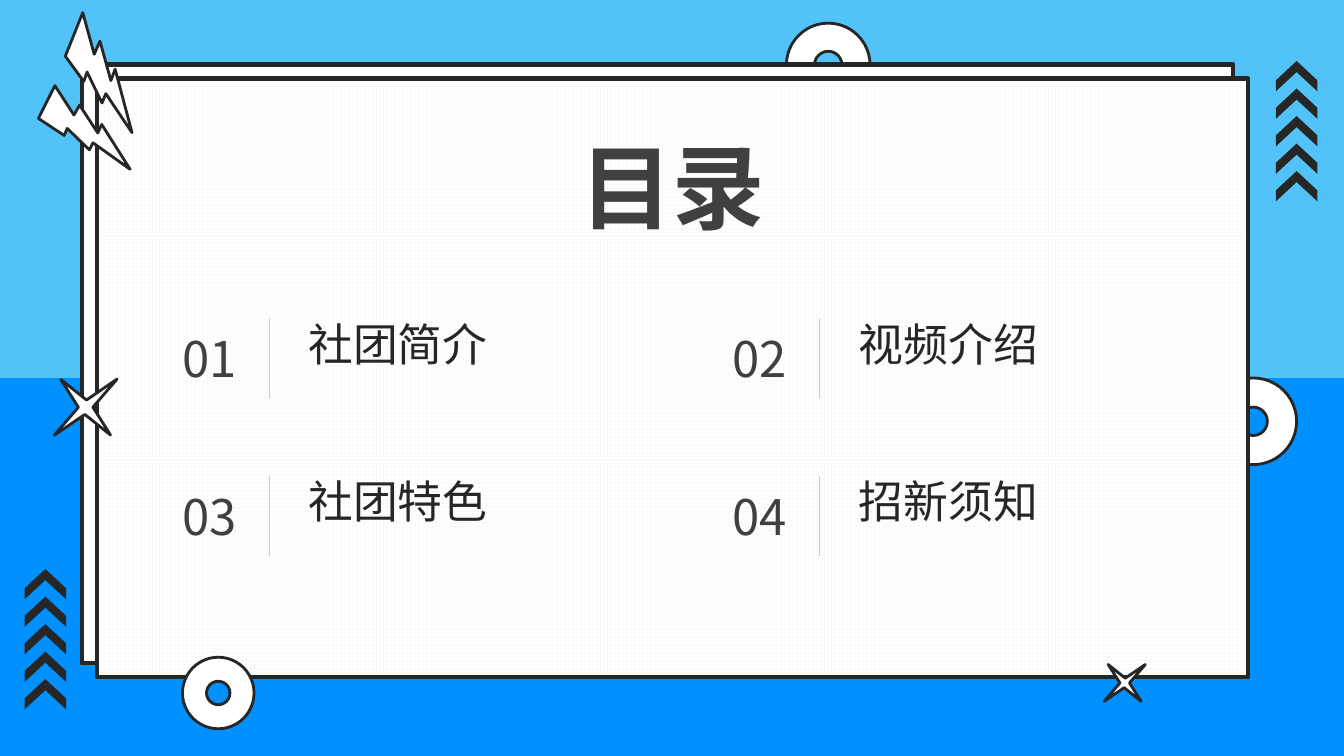
"""Build the club presentation's contents slide."""
from lxml.etree import SubElement
from pptx import Presentation
from pptx.dml.color import RGBColor
from pptx.enum.dml import MSO_PATTERN
from pptx.enum.shapes import MSO_CONNECTOR, MSO_SHAPE as Shape
from pptx.enum.text import MSO_AUTO_SIZE as AutoSize, PP_ALIGN as Align
from pptx.oxml.ns import qn
from pptx.util import Inches, Pt

TITLE = "目录"
TOPICS = ["社团简介", "视频介绍", "社团特色", "招新须知"]

THEME = {
    "font": "Noto Sans CJK SC",
    "sky": "52C3F9", "blue": "0090FF", "white": "FFFFFF", "grid": "F9F9F9",
    "ink": "262626", "gray": "404040", "rule": "C9C9C9",
    "title": 66, "number": 35, "topic": 32,
    "panel_line": 3, "decor_line": 2, "rule_line": 0.5,
}

BANDS = [("sky", 0), ("blue", 3.75)]
DONUT = {"kind": Shape.DONUT, "adjust": 0.336}
BOLT = {"kind": Shape.LIGHTNING_BOLT, "flip": True}
STAR = {"kind": Shape.STAR_4_POINT, "adjust": 0.091, "flip": True, "turn": 48.2}
CHEVRON = {"kind": Shape.CHEVRON, "adjust": 0.635, "turn": 270, "fill": "ink"}
PANEL = {"kind": Shape.RECTANGLE, "line": "panel_line"}

BACK_DONUTS = [(7.8, 0.23, 0.83, 0.83), (12, 3.75, 0.86, 0.86)]
PANELS = [(0.81, 0.64, 11.42, 5.94), (0.96, 0.78, 11.42, 5.94)]
FRONT_DECOR = [
    ((1.81, 6.52, 0.71, 0.71), DONUT),
    ((0.43, 0.35, 1.14, 0.73), {**BOLT, "turn": 275.4}),
    ((0.42, 0.81, 0.83, 0.91), {**BOLT, "turn": 270}),
    ((10.91, 6.5, 0.49, 0.55), STAR),
    ((0.48, 3.62, 0.74, 0.84), STAR),
]
CHEVRON_STACKS = [(12.71, 0.55), (0.3, 5.59)]
CHEVRON_COUNT, CHEVRON_STEP = 5, 0.273

COLUMNS, GRID_LEFT, GRID_TOP = 2, 1.5, 3.09
COLUMN_STEP, ROW_STEP = 5.46, 1.565


def color(name):
    return RGBColor.from_string(THEME[name])


def add_figure(page, area, kind, fill="white", line=None, adjust=None, turn=0, flip=False):
    figure = page.shapes.add_shape(kind, *map(Inches, area))
    figure.shadow.inherit = False
    figure.rotation = turn
    figure.fill.solid()
    figure.fill.fore_color.rgb = color(fill)
    if adjust is not None:
        figure.adjustments[0] = adjust
    if flip:
        figure._element.spPr.xfrm.set("flipH", "1")
    if line:
        figure.line.color.rgb = color("ink")
        figure.line.width = Pt(THEME[line])
    else:
        figure.line.fill.background()
    return figure


def add_label(page, area, text, size, ink, align=Align.LEFT, bold=False):
    frame = page.shapes.add_textbox(*map(Inches, area)).text_frame
    frame.word_wrap = True
    frame.auto_size = AutoSize.SHAPE_TO_FIT_TEXT
    para = frame.paragraphs[0]
    para.alignment = align
    span = para.add_run()
    span.text = text
    formats = {"size": Pt(THEME[size]), "name": THEME["font"], "bold": bold}
    for name, value in formats.items():
        setattr(span.font, name, value)
    span.font.color.rgb = color(ink)
    SubElement(span.font._element, qn("a:ea"), typeface=THEME["font"])


def add_rule(page, x, top, bottom):
    rule = page.shapes.add_connector(MSO_CONNECTOR.STRAIGHT, *map(Inches, (x, top, x, bottom)))
    rule.line.color.rgb = color("rule")
    rule.line.width = Pt(THEME["rule_line"])
    SubElement(rule._element.spPr, qn("a:effectLst"))


def add_scenery(page):
    for fill, top in BANDS:
        add_figure(page, (0, top, 13.33, 3.75), Shape.RECTANGLE, fill)
    for area in BACK_DONUTS:
        add_figure(page, area, line="decor_line", **DONUT)
    panels = [add_figure(page, area, **PANEL) for area in PANELS]
    paper = panels[-1].fill
    paper.patterned()
    paper.pattern = MSO_PATTERN.LARGE_GRID
    paper.fore_color.rgb = color("grid")
    paper.back_color.rgb = color("white")
    for left, top in CHEVRON_STACKS:
        for step in range(CHEVRON_COUNT):
            add_figure(page, (left, top + step * CHEVRON_STEP, 0.3, 0.41), **CHEVRON)
    for area, style in FRONT_DECOR:
        add_figure(page, area, line="decor_line", **style)


def add_contents(page):
    add_label(page, (4.25, 1.24, 4.84, 1.21), TITLE, "title", "gray", Align.CENTER, True)
    for index, topic in enumerate(TOPICS):
        row, column = divmod(index, COLUMNS)
        left = GRID_LEFT + column * COLUMN_STEP
        top = GRID_TOP + row * ROW_STEP
        add_label(page, (left, top + 0.12, 1.15, 0.69), f"{index + 1:02}",
                  "number", "gray", Align.CENTER)
        add_rule(page, left + 1.17, top + 0.07, top + 0.86)
        add_label(page, (left + 1.46, top, 3.41, 0.64), topic, "topic", "ink")


def main():
    deck = Presentation()
    deck.slide_width, deck.slide_height = Inches(13.33), Inches(7.5)
    page = deck.slides.add_slide(deck.slide_layouts[6])
    add_scenery(page)
    add_contents(page)
    deck.save("out.pptx")


if __name__ == "__main__":
    main()
